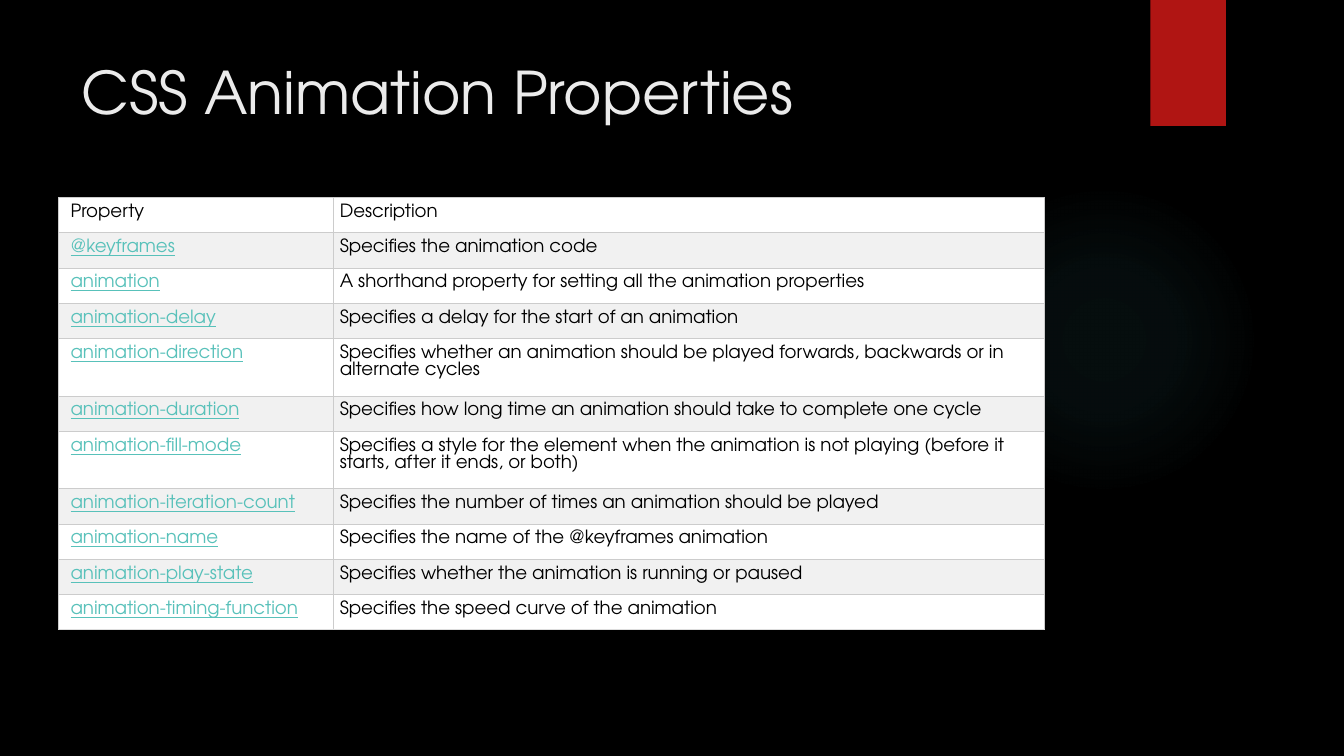
from pptx import Presentation
from pptx.dml.color import RGBColor
from pptx.enum.shapes import MSO_SHAPE as Shape
from pptx.enum.text import MSO_ANCHOR as Anchor
from pptx.oxml import parse_xml
from pptx.util import Inches, Pt

FONT = "TeX Gyre Adventor"
BLACK = RGBColor(0x00, 0x00, 0x00)
WHITE = RGBColor(0xFF, 0xFF, 0xFF)
STRIPE = RGBColor(0xF1, 0xF1, 0xF1)
RED = RGBColor(0xB0, 0x15, 0x13)
TEAL = RGBColor(0x58, 0xC1, 0xBA)
TITLE_GRAY = RGBColor(0xEB, 0xEB, 0xEB)
GLOW = RGBColor(0x50, 0xB9, 0xC1)
GRID = RGBColor(0xCC, 0xCC, 0xCC)
GRID_BOTTOM = RGBColor(0xDD, 0xDD, 0xDD)
NS = 'xmlns:a="http://schemas.openxmlformats.org/drawingml/2006/main"'

PROPERTIES = [
    ("Property", "Description"),
    ("@keyframes", "Specifies the animation code"),
    ("animation", "A shorthand property for setting all the animation properties"),
    ("animation-delay", "Specifies a delay for the start of an animation"),
    ("animation-direction", "Specifies whether an animation should be played "
     "forwards, backwards or in alternate cycles"),
    ("animation-duration", "Specifies how long time an animation should take "
     "to complete one cycle"),
    ("animation-fill-mode", "Specifies a style for the element when the animation "
     "is not playing (before it starts, after it ends, or both)"),
    ("animation-iteration-count", "Specifies the number of times an animation "
     "should be played"),
    ("animation-name", "Specifies the name of the @keyframes animation"),
    ("animation-play-state", "Specifies whether the animation is running or paused"),
    ("animation-timing-function", "Specifies the speed curve of the animation"),
]
TWO_LINE_ROWS = (4, 6)


def add_run(paragraph, text, size, color):
    run = paragraph.add_run()
    run.text = text
    run.font.name = FONT
    run.font.size = Pt(size)
    run.font.color.rgb = color
    return run


def set_borders(cell, bottom_color):
    sides = [("lnL", GRID), ("lnR", GRID), ("lnT", GRID), ("lnB", bottom_color)]
    for position, (side, color) in enumerate(sides):
        line = parse_xml(
            f'<a:{side} {NS} w="{Pt(0.75)}"><a:solidFill>'
            f'<a:srgbClr val="{color}"/></a:solidFill></a:{side}>')
        cell._tc.get_or_add_tcPr().insert(position, line)


prs = Presentation()
prs.slide_width, prs.slide_height = Inches(13.33), Inches(7.5)
slide = prs.slides.add_slide(prs.slide_layouts[6])
slide.background.fill.solid()
slide.background.fill.fore_color.rgb = BLACK

# Soft glow on the right
glow = slide.shapes.add_shape(
    Shape.OVAL, Inches(9.41), Inches(1.83), Inches(3.08), Inches(3.08))
glow.shadow.inherit = False
glow.line.fill.background()
glow.fill.background()
stops = "".join(
    f'<a:gs pos="{pos * 1000}"><a:srgbClr val="{GLOW}">'
    f'<a:alpha val="{alpha * 1000}"/></a:srgbClr></a:gs>'
    for pos, alpha in [(0, 7), (36, 6), (69, 0)])
gradient = parse_xml(
    f'<a:gradFill {NS}><a:gsLst>{stops}</a:gsLst><a:path path="circle">'
    '<a:fillToRect l="50000" t="50000" r="50000" b="50000"/></a:path></a:gradFill>')
no_fill = glow._element.spPr.find("{*}noFill")
glow._element.spPr.replace(no_fill, gradient)

# Red bookmark
bookmark = slide.shapes.add_shape(
    Shape.RECTANGLE, Inches(11.41), 0, Inches(0.75), Inches(1.25))
bookmark.shadow.inherit = False
bookmark.line.fill.background()
bookmark.fill.solid()
bookmark.fill.fore_color.rgb = RED

# Title
title = slide.shapes.add_textbox(
    Inches(0.71), Inches(0.5), Inches(10.29), Inches(1.53)).text_frame
title.word_wrap = True
title.vertical_anchor = Anchor.TOP
add_run(title.paragraphs[0], "CSS Animation Properties", 42, TITLE_GRAY)

# Property table
table = slide.shapes.add_table(
    len(PROPERTIES), 2, Inches(0.58), Inches(1.96), Inches(9.78), Inches(4.26)).table
table.first_row = False
table.horz_banding = False
table.columns[0].width = Inches(2.73)
table.columns[1].width = Inches(7.05)

for r, texts in enumerate(PROPERTIES):
    table.rows[r].height = Inches(0.57 if r in TWO_LINE_ROWS else 0.35)
    for c, text in enumerate(texts):
        cell = table.cell(r, c)
        cell.margin_left = Inches(0.06 if c else 0.12)
        cell.margin_right = cell.margin_top = cell.margin_bottom = Inches(0.06)
        cell.fill.solid()
        cell.fill.fore_color.rgb = STRIPE if r % 2 else WHITE
        set_borders(cell, GRID_BOTTOM if r == len(PROPERTIES) - 1 else GRID)
        paragraph = cell.text_frame.paragraphs[0]
        paragraph.line_spacing = Pt(12.4)
        is_property = r > 0 and c == 0
        run = add_run(paragraph, text, 13, TEAL if is_property else BLACK)
        run.font.underline = is_property

prs.save("out.pptx")
